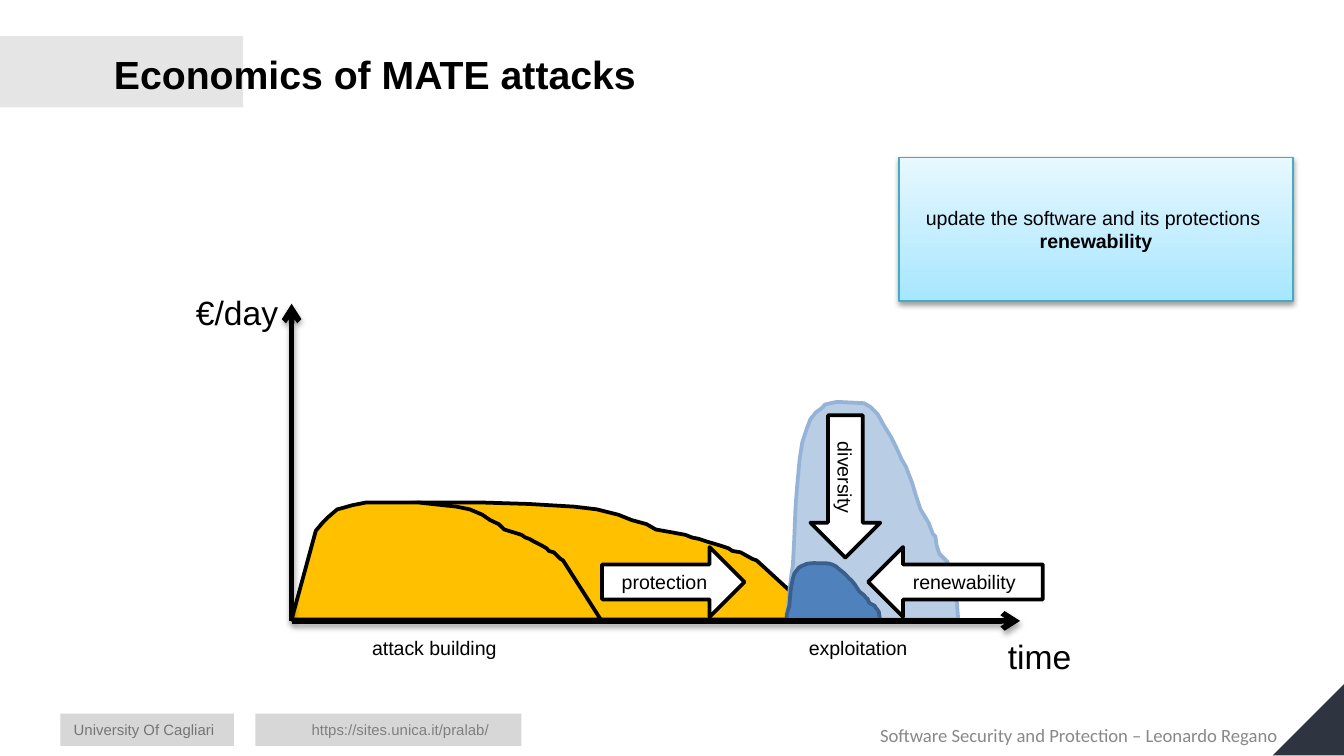
from pptx import Presentation
from pptx.dml.color import RGBColor
from pptx.enum.shapes import MSO_CONNECTOR as CONN, MSO_SHAPE as SHAPE
from pptx.enum.text import MSO_ANCHOR as ANCHOR, PP_ALIGN as ALIGN
from pptx.oxml.ns import qn
from pptx.util import Inches, Pt
from lxml.etree import SubElement

BLACK = RGBColor(0x00, 0x00, 0x00)
WHITE = RGBColor(0xFF, 0xFF, 0xFF)
BAND = RGBColor(0xBD, 0xBD, 0xBD)
FOOTER_BOX = RGBColor(0x59, 0x59, 0x59)
FOOTER_TEXT = RGBColor(0x7F, 0x7F, 0x7F)
COURSE_TEXT = RGBColor(0x88, 0x88, 0x88)
NAVY = RGBColor(0x2E, 0x35, 0x40)
ORANGE = RGBColor(0xFF, 0xC0, 0x00)
PALE_BLUE = RGBColor(0xB9, 0xCD, 0xE5)
PALE_EDGE = RGBColor(0x95, 0xB3, 0xD7)
BLUE = RGBColor(0x4F, 0x81, 0xBD)
BLUE_EDGE = RGBColor(0x3A, 0x5F, 0x8C)
CALLOUT_LOW = RGBColor(0xA7, 0xE6, 0xFF)
CALLOUT_HIGH = RGBColor(0xE7, 0xF8, 0xFF)
CALLOUT_EDGE = RGBColor(0x46, 0xAA, 0xC5)

# Chart origin
X0, Y0 = 2.17, 4.62

# Attack building: rising parts with and without protection, and the shared decline
RISE_LONG = [(2.17, 4.61), (2.42, 3.95), (2.51, 3.87), (2.56, 3.84), (2.6, 3.81),
             (2.65, 3.79), (2.77, 3.77), (2.88, 3.75), (3.11, 3.74), (3.61, 3.74),
             (3.93, 3.75)]
RISE_SHORT = [(2.17, 4.61), (2.35, 3.95), (2.4, 3.89), (2.44, 3.85), (2.51, 3.79),
              (2.55, 3.78), (2.62, 3.76), (2.72, 3.74), (3.12, 3.74)]
DECLINE = [(4.27, 3.77), (4.44, 3.79), (4.6, 3.83), (4.65, 3.85), (4.7, 3.87),
           (4.81, 3.9), (4.88, 3.94), (4.99, 3.96), (5.1, 3.98), (5.15, 4),
           (5.2, 4.01), (5.26, 4.03), (5.36, 4.06), (5.42, 4.08), (5.45, 4.1),
           (5.51, 4.11), (5.6, 4.16), (5.63, 4.17), (6.11, 4.61)]
# Ratio of the short attack's duration to the long one's
SHORTENING = 2.3 / 3.94

# Exploitation: the same hill is drawn at full and at reduced size
HILL_BOX = (5.86, 2.99, 1.27, 1.62)
REDUCED_BOX = (5.85, 4.19, 0.7, 0.43)
HILL = [(5.86, 4.61), (5.87, 4.43), (5.89, 4.27), (5.9, 4.21), (5.91, 4.01),
        (5.92, 3.77), (5.93, 3.64), (5.95, 3.42), (5.97, 3.29), (6, 3.2),
        (6.03, 3.12), (6.07, 3.07), (6.11, 3.04), (6.14, 3.01), (6.18, 3),
        (6.23, 2.99), (6.43, 3), (6.48, 3.03), (6.53, 3.08), (6.58, 3.17),
        (6.63, 3.25), (6.67, 3.33), (6.71, 3.42), (6.74, 3.47), (6.79, 3.6),
        (6.81, 3.67), (6.83, 3.73), (6.85, 3.79), (6.91, 3.89), (6.94, 3.97),
        (6.96, 3.99), (6.97, 4.06), (6.99, 4.12), (7.02, 4.15), (7.05, 4.18),
        (7.08, 4.27), (7.11, 4.35), (7.13, 4.61)]


def inches(*values):
    return [Inches(v) for v in values]


def paint(sp, fill, line=None, width=2, alpha=None):
    sp.shadow.inherit = False
    sp.fill.solid()
    sp.fill.fore_color.rgb = fill
    if alpha is not None:
        color = sp._element.spPr.find(qn("a:solidFill"))[0]
        SubElement(color, qn("a:alpha"), val=str(alpha * 1000))
    if line is None:
        sp.line.fill.background()
    else:
        sp.line.color.rgb = line
        sp.line.width = Pt(width)


def add_shadow(sp, alpha, blur, dist):
    sp_pr = sp._element.spPr
    effects = sp_pr.find(qn("a:effectLst"))
    if effects is None:
        effects = SubElement(sp_pr, qn("a:effectLst"))
    shadow = SubElement(effects, qn("a:outerShdw"), blurRad=str(Pt(blur)),
                        dist=str(Pt(dist)), dir="5400000", rotWithShape="0")
    color = SubElement(shadow, qn("a:srgbClr"), val=str(BLACK))
    SubElement(color, qn("a:alpha"), val=str(alpha * 1000))


def style(p, size, color=BLACK, align=ALIGN.LEFT, bold=False, font="Arial"):
    p.alignment = align
    p.font.size, p.font.name, p.font.bold = Pt(size), font, bold
    p.font.color.rgb = color


def add_text(slide, box, text, size, wrap=True, anchor=ANCHOR.TOP, inset=0.05, **look):
    tf = slide.shapes.add_textbox(*inches(*box)).text_frame
    tf.word_wrap = wrap
    tf.vertical_anchor = anchor
    tf.margin_top = tf.margin_bottom = Inches(inset)
    tf.text = text
    style(tf.paragraphs[0], size, **look)


def add_block(slide, kind, box, fill, alpha=None):
    sp = slide.shapes.add_shape(kind, *inches(*box))
    paint(sp, fill, alpha=alpha)
    return sp


def add_area(slide, points, fill, line):
    start, *rest = [inches(x, y) for x, y in points]
    builder = slide.shapes.build_freeform(*start)
    builder.add_line_segments(rest, close=True)
    paint(builder.convert_to_shape(), fill, line)


def add_block_arrow(slide, kind, box, text, vertical=False):
    sp = slide.shapes.add_shape(kind, *inches(*box))
    paint(sp, WHITE, BLACK)
    tf = sp.text_frame
    tf.margin_left = tf.margin_right = tf.margin_top = tf.margin_bottom = 0
    tf.word_wrap = True
    tf.vertical_anchor = ANCHOR.MIDDLE
    if vertical:
        tf._txBody.bodyPr.set("vert", "vert")
    tf.text = text
    style(tf.paragraphs[0], 10.5, align=ALIGN.CENTER)


def add_axis(slide, x, y):
    axis = slide.shapes.add_connector(CONN.STRAIGHT, *inches(X0, Y0, x, y))
    axis.line.color.rgb = BLACK
    axis.line.width = Pt(3)
    SubElement(axis._element.spPr.find(qn("a:ln")), qn("a:tailEnd"), type="arrow")
    add_shadow(axis, 35, 3.1, 1.8)


def add_callout(slide, box, lines):
    sp = slide.shapes.add_shape(SHAPE.RECTANGLE, *inches(*box))
    paint(sp, CALLOUT_LOW, CALLOUT_EDGE, 0.75)
    sp.fill.gradient()
    sp.fill.gradient_angle = 90
    for stop, color in zip(sp.fill.gradient_stops, (CALLOUT_LOW, CALLOUT_HIGH)):
        stop.color.rgb = color
    add_shadow(sp, 38, 3.1, 1.6)
    tf = sp.text_frame
    tf.word_wrap = True
    tf.vertical_anchor = ANCHOR.MIDDLE
    tf.text = "\n".join(text for text, _ in lines)
    for p, (_, bold) in zip(tf.paragraphs, lines):
        style(p, 10.5, align=ALIGN.CENTER, bold=bold)


def rescale(points, old, new):
    return [(new[0] + (x - old[0]) * new[2] / old[2],
             new[1] + (y - old[1]) * new[3] / old[3]) for x, y in points]


def add_frame(slide):
    add_block(slide, SHAPE.RECTANGLE, (0, 0.27, 1.81, 0.53), BAND, alpha=38)
    add_block(slide, SHAPE.RECTANGLE, (1.9, 5.31, 1.98, 0.24), FOOTER_BOX, alpha=24)
    add_text(slide, (2.22, 5.31, 1.66, 0.24), "https://sites.unica.it/pralab/", 8,
             color=FOOTER_TEXT)
    corner = add_block(slide, SHAPE.RIGHT_TRIANGLE, (9.47, 5.09, 0.53, 0.53), NAVY)
    corner.rotation = 270
    add_text(slide, (0.45, 5.31, 1.66, 0.24), "University Of Cagliari", 8, color=FOOTER_TEXT)
    add_block(slide, SHAPE.RECTANGLE, (0.45, 5.31, 1.29, 0.24), FOOTER_BOX, alpha=24)
    add_text(slide, (5.64, 5.3, 3.96, 0.24),
             "Software Security and Protection – Leonardo Regano", 10, inset=0.1,
             color=COURSE_TEXT, align=ALIGN.RIGHT, font="Calibri")


def main():
    prs = Presentation()
    prs.slide_width = Inches(10)
    prs.slide_height = prs.slide_width * 9 // 16
    slide = prs.slides.add_slide(prs.slide_layouts[6])

    # Band, footer and title
    add_frame(slide)
    add_text(slide, (0.75, 0.12, 8.5, 0.86), "Economics of MATE attacks", 21,
             anchor=ANCHOR.MIDDLE, bold=True)

    # Areas under the cost curves
    short_decline = [(X0 + (x - X0) * SHORTENING, y) for x, y in DECLINE]
    add_area(slide, RISE_LONG + DECLINE, ORANGE, BLACK)
    add_area(slide, RISE_SHORT + short_decline, ORANGE, BLACK)
    add_area(slide, HILL, PALE_BLUE, PALE_EDGE)
    add_area(slide, rescale(HILL, HILL_BOX, REDUCED_BOX), BLUE, BLUE_EDGE)

    # Axis and phase labels
    add_text(slide, (1.36, 2.12, 0.89, 0.4), "€/day", 18, wrap=False)
    add_text(slide, (7.4, 4.68, 0.88, 0.4), "time", 18)
    add_text(slide, (2.67, 4.68, 1.15, 0.28), "attack building", 10.5, wrap=False)
    add_text(slide, (5.92, 4.68, 0.95, 0.28), "exploitation", 10.5, wrap=False)

    # Axes and the effects of each defence
    add_block_arrow(slide, SHAPE.RIGHT_ARROW, (4.48, 4.07, 1.06, 0.52), "protection")
    add_block_arrow(slide, SHAPE.DOWN_ARROW, (6.03, 3.09, 0.52, 1.06), "diversity", vertical=True)
    add_axis(slide, X0, 2.26)
    add_axis(slide, 7.59, Y0)
    add_block_arrow(slide, SHAPE.LEFT_ARROW, (6.46, 4.07, 1.3, 0.52), "renewability")

    # Callout
    add_callout(slide, (6.69, 1.17, 2.93, 1.07),
                [("update the software and its protections ", False), ("renewability", True)])

    prs.save("out.pptx")


if __name__ == "__main__":
    main()
